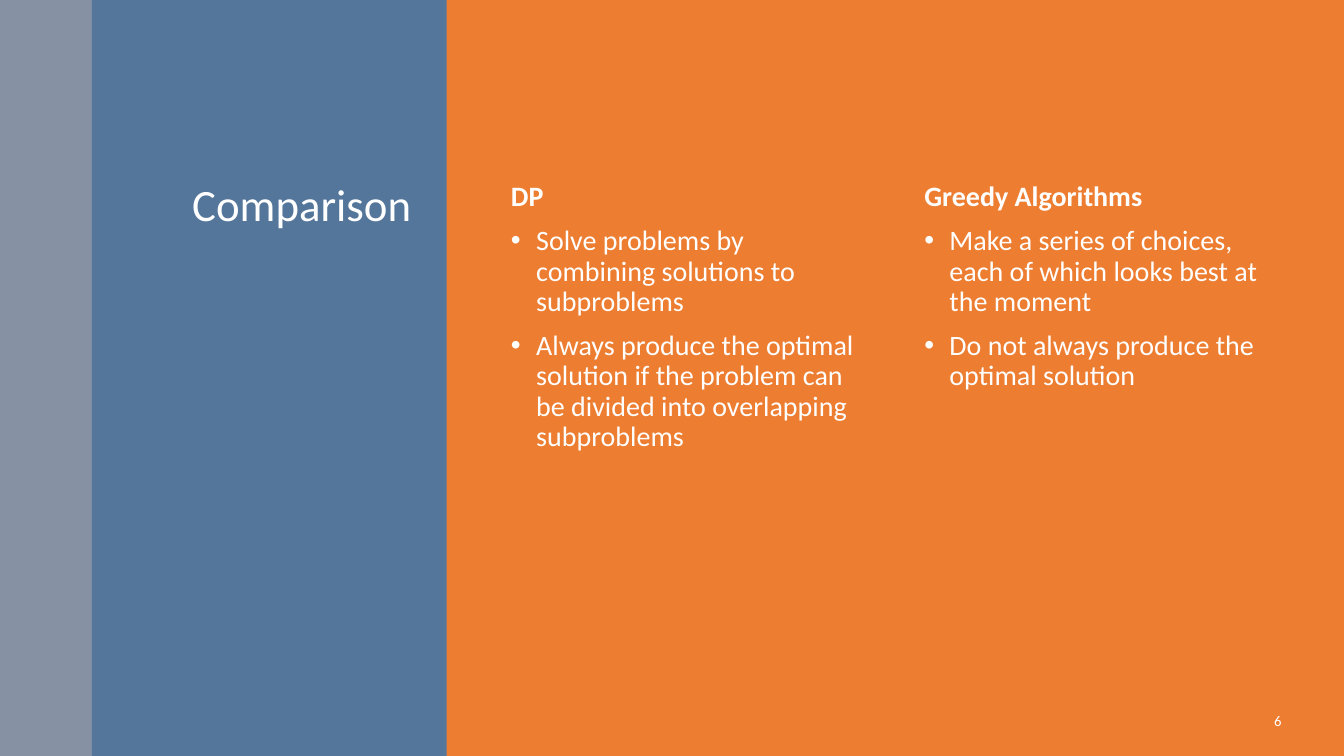
from lxml.etree import SubElement
from pptx import Presentation
from pptx.dml.color import RGBColor
from pptx.enum.shapes import MSO_SHAPE as Shape
from pptx.enum.text import MSO_ANCHOR as Anchor, MSO_AUTO_SIZE as AutoSize, PP_ALIGN as Align
from pptx.oxml.ns import qn
from pptx.util import Inches, Pt

COLORS = {"background": "ED7D31", "edge": "5B9BD5", "panel": "2E75B6", "text": "FFFFFF"}
TOP, HEIGHT = 23.47, 65.6
EDGE_WIDTH, PANEL_WIDTH = 6.83, 26.4
FIRST_COLUMN, COLUMN_WIDTH, COLUMN_STEP = 37.28, 28.05, 30.75

COMPARISON = {
    "DP": [
        "Solve problems by combining solutions to subproblems",
        "Always produce the optimal solution if the problem can be divided into overlapping subproblems",
    ],
    "Greedy Algorithms": [
        "Make a series of choices, each of which looks best at the moment",
        "Do not always produce the optimal solution",
    ],
}


class ComparisonSlide:
    """Draws styled elements on a grid of 100 columns by 100 rows."""

    def __init__(self, deck, font):
        self.deck, self.font = deck, font
        self.slide = deck.slides.add_slide(deck.slide_layouts[5])
        self.paint(self.slide.background.fill, "background")

    def paint(self, fill, color):
        fill.solid()
        fill.fore_color.rgb = RGBColor.from_string(COLORS[color])

    def place(self, left, top, width, height):
        column, row = self.deck.slide_width / 100, self.deck.slide_height / 100
        return [int(n) for n in (left * column, top * row, width * column, height * row)]

    def band(self, left, width, color, opacity):
        band = self.slide.shapes.add_shape(Shape.RECTANGLE, *self.place(left, 0, width, 100))
        band.shadow.inherit = False
        band.line.fill.background()
        self.paint(band.fill, color)
        tint = band._element.spPr.find(f".//{qn('a:srgbClr')}")
        SubElement(tint, qn("a:alpha"), val=str(opacity * 1000))

    def frame(self, shape, anchor=Anchor.TOP):
        frame = shape.text_frame
        frame.word_wrap = True
        frame.auto_size = AutoSize.NONE
        frame.vertical_anchor = anchor
        return frame

    def set_text(self, paragraph, text, size, align=Align.LEFT, bold=False):
        paragraph.text = text
        paragraph.alignment = align
        for run in paragraph.runs:
            run.font.name, run.font.size, run.font.bold = self.font, Pt(size), bold
            run.font.color.rgb = RGBColor.from_string(COLORS["text"])

    def title(self, text, *area):
        heading = self.slide.shapes.title
        heading.left, heading.top, heading.width, heading.height = self.place(*area)
        heading._element.getparent().append(heading._element)
        paragraph = self.frame(heading).paragraphs[0]
        self.set_text(paragraph, text, 32, Align.RIGHT)
        paragraph.line_spacing = 0.9

    def bullet(self, paragraph):
        properties = paragraph._p.get_or_add_pPr()
        indent = Inches(0.25)
        properties.set("marL", str(indent))
        properties.set("indent", str(-indent))
        SubElement(properties, qn("a:buFont"), typeface="Arial")
        SubElement(properties, qn("a:buChar"), char="•")

    def column(self, heading, points, *area):
        body = self.frame(self.slide.shapes.add_textbox(*self.place(*area)))
        for index, text in enumerate([heading, *points]):
            paragraph = body.add_paragraph() if index else body.paragraphs[0]
            self.set_text(paragraph, text, 20, bold=index == 0)
            paragraph.line_spacing = 0.9
            paragraph.space_before = Pt(10)
            if index:
                self.bullet(paragraph)

    def page_number(self, number, *area):
        footer = self.frame(self.slide.shapes.add_textbox(*self.place(*area)), Anchor.MIDDLE)
        self.set_text(footer.paragraphs[0], number, 10.5, Align.RIGHT)
        footer.paragraphs[0].space_after = Pt(6)


def main():
    deck = Presentation()
    deck.slide_width, deck.slide_height = Inches(13.33), Inches(7.5)
    page = ComparisonSlide(deck, "Calibri")
    page.band(0, EDGE_WIDTH, "edge", 70)
    page.band(EDGE_WIDTH, PANEL_WIDTH, "panel", 80)
    page.title("Comparison", 8.18, TOP, 23.18, HEIGHT)
    for index, (heading, points) in enumerate(COMPARISON.items()):
        left = FIRST_COLUMN + index * COLUMN_STEP
        page.column(heading, points, left, TOP, COLUMN_WIDTH, HEIGHT)
    page.page_number("6", 84.92, 92.67, 11.18, 5.33)
    deck.save("out.pptx")


if __name__ == "__main__":
    main()
